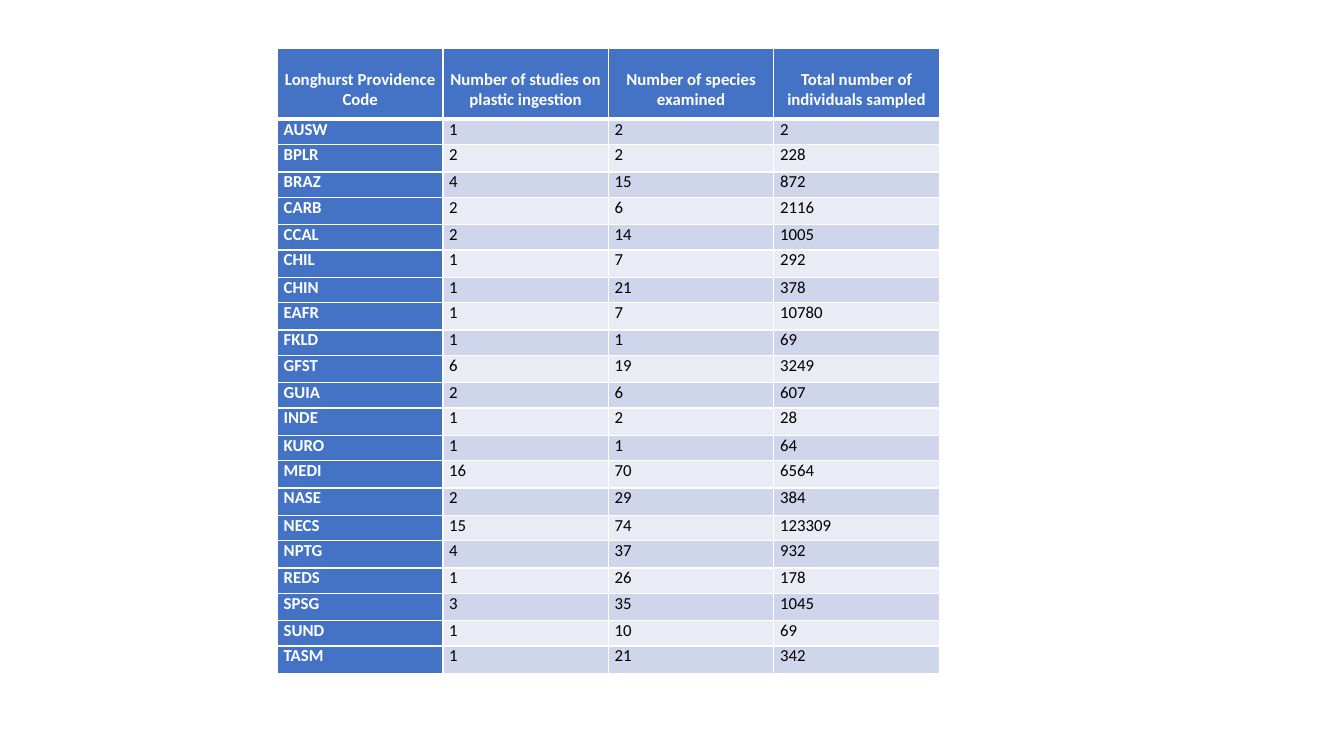
from lxml.etree import SubElement
from pptx import Presentation
from pptx.dml.color import RGBColor
from pptx.enum.text import PP_ALIGN
from pptx.oxml.ns import qn
from pptx.util import Pt

COLORS = {
    "blue": "4472C4",
    "dark_band": "CFD5EA",
    "light_band": "E9EBF5",
    "white": "FFFFFF",
    "black": "000000",
}
HEADERS = (
    "Longhurst Providence Code",
    "Number of studies on plastic ingestion",
    "Number of species examined",
    "Total number of individuals sampled",
)
PROVINCES = (
    ("AUSW", 1, 2, 2),
    ("BPLR", 2, 2, 228),
    ("BRAZ", 4, 15, 872),
    ("CARB", 2, 6, 2116),
    ("CCAL", 2, 14, 1005),
    ("CHIL", 1, 7, 292),
    ("CHIN", 1, 21, 378),
    ("EAFR", 1, 7, 10780),
    ("FKLD", 1, 1, 69),
    ("GFST", 6, 19, 3249),
    ("GUIA", 2, 6, 607),
    ("INDE", 1, 2, 28),
    ("KURO", 1, 1, 64),
    ("MEDI", 16, 70, 6564),
    ("NASE", 2, 29, 384),
    ("NECS", 15, 74, 123309),
    ("NPTG", 4, 37, 932),
    ("REDS", 1, 26, 178),
    ("SPSG", 3, 35, 1045),
    ("SUND", 1, 10, 69),
    ("TASM", 1, 21, 342),
)
HEADER_HEIGHT = 50.4
SHORT_ROW, TALL_ROW = 18.1, 19.55


def row_height(row):
    """Short and tall rows alternate; the order flips at NASE (row 15)."""
    if row == 0:
        return HEADER_HEIGHT
    is_short = row % 2 == 1 if row < 15 else row % 2 == 0
    return SHORT_ROW if is_short else TALL_ROW


def set_borders(cell, top, bottom):
    """White cell borders, which must be added before the fill."""
    properties = cell._tc.get_or_add_tcPr()
    for tag, width in (("lnL", 1), ("lnR", 1), ("lnT", top), ("lnB", bottom)):
        line = SubElement(properties, qn(f"a:{tag}"), w=str(Pt(width)))
        fill = SubElement(line, qn("a:solidFill"))
        SubElement(fill, qn("a:srgbClr"), val=COLORS["white"])


def style_cell(cell, value, row, column):
    is_header = row == 0
    is_label = is_header or column == 0
    band = "dark_band" if row % 2 else "light_band"

    set_borders(cell, top=3 if row == 1 else 1, bottom=3 if is_header else 1)
    cell.fill.solid()
    cell.fill.fore_color.rgb = RGBColor.from_string(COLORS["blue" if is_label else band])

    cell.margin_left = cell.margin_right = Pt(4.5)
    cell.margin_top = Pt(14.65 if is_header else 0)
    cell.margin_bottom = Pt(0)

    cell.text = str(value)
    paragraph = cell.text_frame.paragraphs[0]
    paragraph.alignment = PP_ALIGN.CENTER if is_header else PP_ALIGN.LEFT
    font = paragraph.font
    font.name = "Calibri"
    font.size = Pt(12)
    font.bold = is_label
    font.color.rgb = RGBColor.from_string(COLORS["white" if is_label else "black"])


def add_province_table(slide, left, top, width):
    rows = (HEADERS, *PROVINCES)
    heights = [row_height(row) for row in range(len(rows))]
    table = slide.shapes.add_table(
        len(rows), len(HEADERS), Pt(left), Pt(top), Pt(width), Pt(sum(heights))
    ).table
    table.first_col = True

    for column in table.columns:
        column.width = Pt(width / len(HEADERS))
    for row, values in enumerate(rows):
        table.rows[row].height = Pt(heights[row])
        for column, value in enumerate(values):
            style_cell(table.cell(row, column), value, row, column)


def main():
    presentation = Presentation()
    presentation.slide_width = Pt(960)
    presentation.slide_height = Pt(540)
    slide = presentation.slides.add_slide(presentation.slide_layouts[6])

    # Plastic ingestion studies by province
    add_province_table(slide, left=198.2, top=34.8, width=472.8)

    presentation.save("out.pptx")


if __name__ == "__main__":
    main()
